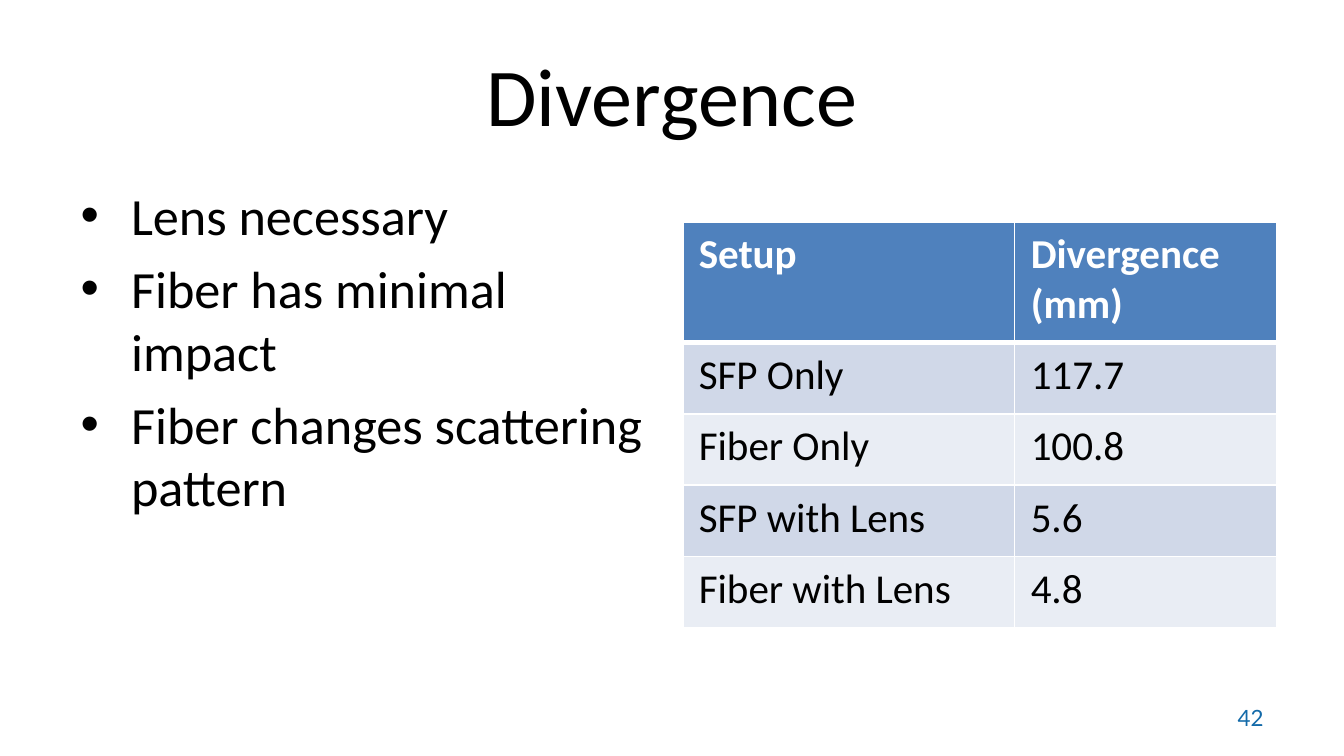
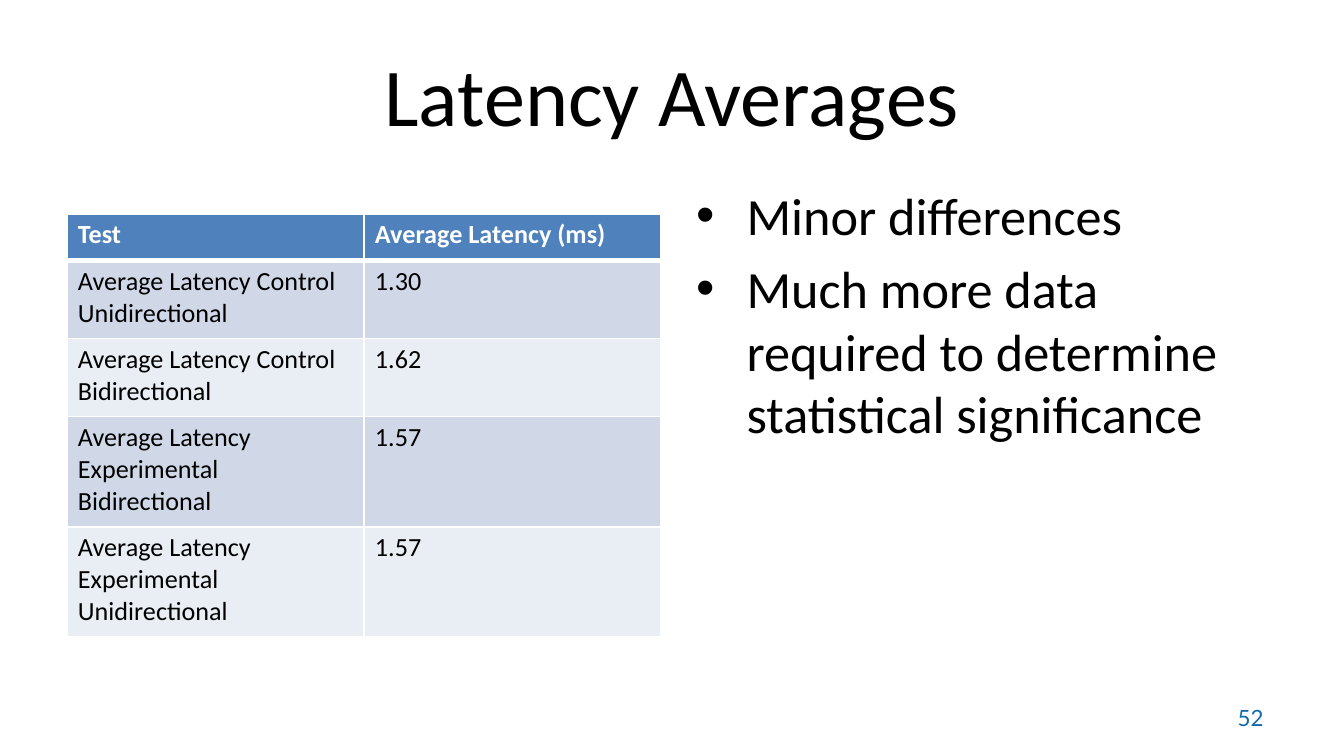
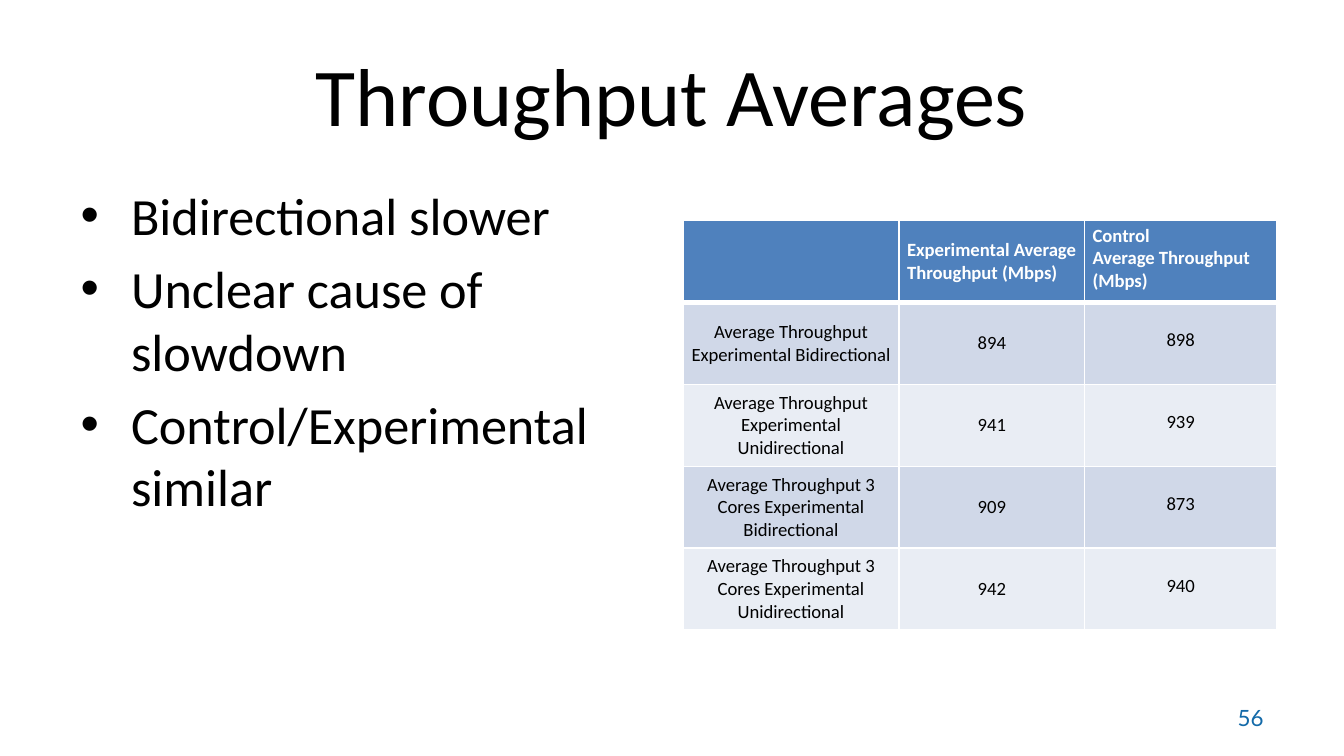
from dataclasses import dataclass

from lxml import etree
from pptx import Presentation
from pptx.dml.color import RGBColor
from pptx.enum import text as text_enum
from pptx.oxml import ns
from pptx.util import Inches, Pt

ALIGN = text_enum.PP_ALIGN
ANCHOR = text_enum.MSO_ANCHOR


@dataclass(frozen=True)
class Theme:
    font: str = "Calibri"
    number_font: str = "Lato"
    ink: str = "000000"
    white: str = "FFFFFF"
    header: str = "4F81BD"
    bands: tuple = ("D0D8E8", "E9EDF4")
    number_color: str = "136AA9"
    title_size: int = 44
    body_size: int = 28
    number_size: int = 12
    grid_line: int = 1
    header_line: int = 3


THEME = Theme()
SLIDE_WIDTH = Inches(10)
SLIDE_HEIGHT = SLIDE_WIDTH * 9 // 16
TITLE_BOX = (0.5, 0.23, 9, 0.94)
NUMBER_BOX = (7.17, 5.21, 2.33, 0.3)
LEFT, RIGHT = 0.5, 5.08
HALF_WIDTH, BODY_TOP, BODY_HEIGHT = 4.42, 1.31, 3.71
HARD_SPACE = chr(160)

SLIDES = [
    {
        "title": "Divergence",
        "number": "42",
        "bullets": ["Lens necessary", "Fiber has minimal impact",
                    "Fiber changes scattering pattern"],
        "bullets_left": LEFT,
        "table": {
            "left": RIGHT, "top": 1.65, "size": 22, "inset": (0.12, 0.06),
            "columns": [2.47, 1.95], "rows": [0.9] + [0.53] * 4,
            "cells": [
                ("Setup", "Divergence (mm)"),
                ("SFP Only", "117.7"),
                ("Fiber Only", "100.8"),
                ("SFP with Lens", "5.6"),
                ("Fiber with Lens", "4.8"),
            ],
        },
    },
    {
        "title": "Latency Averages",
        "number": "52",
        "bullets": ["Minor differences",
                    "Much more data required to determine statistical significance"],
        "bullets_left": RIGHT,
        "table": {
            "left": LEFT, "top": 1.59, "size": 14, "inset": (0.08, 0.04),
            "columns": [2.21] * 2, "rows": [0.35, 0.58, 0.58, 0.82, 0.82],
            "cells": [
                ("Test", "Average Latency (ms)"),
                ("Average Latency Control Unidirectional", "1.30"),
                ("Average Latency Control Bidirectional", "1.62"),
                ("Average Latency Experimental Bidirectional", "1.57"),
                ("Average Latency Experimental Unidirectional", "1.57"),
            ],
        },
    },
    {
        "title": "Throughput Averages",
        "number": "56",
        "bullets": ["Bidirectional slower", "Unclear cause of slowdown",
                    "Control/Experimental similar"],
        "bullets_left": LEFT,
        "table": {
            "left": RIGHT, "top": 1.64, "size": 10, "inset": (0.06, 0.03),
            "columns": [1.61, 1.38, 1.43], "rows": [0.61] * 5,
            "align": ALIGN.CENTER,
            "anchors": [ANCHOR.MIDDLE, ANCHOR.MIDDLE, ANCHOR.TOP],
            "last_column_drop": 0.17,
            "cells": [
                ("", "Experimental Average Throughput (Mbps)",
                 f"Control Average{HARD_SPACE}Throughput (Mbps)"),
                ("Average Throughput Experimental Bidirectional", "894", "898"),
                ("Average Throughput Experimental Unidirectional", "941", "939"),
                ("Average Throughput 3 Cores Experimental Bidirectional", "909", "873"),
                ("Average Throughput 3 Cores Experimental Unidirectional", "942", "940"),
            ],
        },
    },
]


def set_attributes(target, **values):
    for name, value in values.items():
        setattr(target, name, value)


def write(paragraph, words, size, color=THEME.ink, font=THEME.font, bold=False):
    run = paragraph.add_run()
    run.text = words
    set_attributes(run.font, name=font, size=Pt(size), bold=bold)
    run.font.color.rgb = RGBColor.from_string(color)


def place(shape, box):
    for name, value in zip(("left", "top", "width", "height"), box):
        setattr(shape, name, Inches(value))


def add_title(slide, words):
    title = slide.shapes.title
    place(title, TITLE_BOX)
    set_attributes(title.text_frame, vertical_anchor=ANCHOR.MIDDLE,
                   auto_size=text_enum.MSO_AUTO_SIZE.NONE)
    paragraph = title.text_frame.paragraphs[0]
    paragraph.alignment = ALIGN.CENTER
    write(paragraph, words, THEME.title_size)


def add_bullets(slide, bullets, left):
    """Fill the body placeholder; bullets and indents come from the template."""
    body = slide.placeholders[1]
    place(body, (left, BODY_TOP, HALF_WIDTH, BODY_HEIGHT))
    frame = body.text_frame
    frame.auto_size = text_enum.MSO_AUTO_SIZE.NONE
    for index, words in enumerate(bullets):
        paragraph = frame.add_paragraph() if index else frame.paragraphs[0]
        paragraph.space_before = Pt(THEME.body_size * 0.2 if index else 0)
        write(paragraph, words, THEME.body_size)


def add_number(slide, number):
    box = slide.shapes.add_textbox(*map(Inches, NUMBER_BOX))
    box.text_frame.word_wrap = True
    paragraph = box.text_frame.paragraphs[0]
    set_attributes(paragraph, alignment=ALIGN.RIGHT, line_spacing=0.9, space_after=Pt(6))
    write(paragraph, number, THEME.number_size, THEME.number_color, THEME.number_font)


def set_borders(cell, row):
    """Draw white grid lines, heavier between the header and the first row."""
    properties = cell._tc.get_or_add_tcPr()
    for position, side in enumerate("LRTB"):
        heavy = (row, side) in ((0, "B"), (1, "T"))
        width = THEME.header_line if heavy else THEME.grid_line
        line = etree.Element(ns.qn(f"a:ln{side}"), w=str(Pt(width)))
        fill = etree.SubElement(line, ns.qn("a:solidFill"))
        etree.SubElement(fill, ns.qn("a:srgbClr"), val=THEME.white)
        properties.insert(position, line)


def add_table(slide, data):
    columns, rows = data["columns"], data["rows"]
    box = (data["left"], data["top"], sum(columns), sum(rows))
    table = slide.shapes.add_table(len(rows), len(columns), *map(Inches, box)).table
    for column, width in zip(table.columns, columns):
        column.width = Inches(width)
    for row, height in zip(table.rows, rows):
        row.height = Inches(height)

    side, edge = data["inset"]
    anchors = data.get("anchors", [ANCHOR.TOP] * len(columns))
    for row, texts in enumerate(data["cells"]):
        header = row == 0
        fill = THEME.header if header else THEME.bands[(row - 1) % 2]
        for column, words in enumerate(texts):
            cell = table.cell(row, column)
            lowered = not header and column == len(columns) - 1
            drop = data.get("last_column_drop", 0) if lowered else 0
            set_attributes(cell, margin_left=Inches(side), margin_right=Inches(side),
                           margin_top=Inches(edge + drop), margin_bottom=Inches(edge),
                           vertical_anchor=anchors[column])
            cell.fill.solid()
            cell.fill.fore_color.rgb = RGBColor.from_string(fill)
            set_borders(cell, row)
            paragraph = cell.text_frame.paragraphs[0]
            paragraph.alignment = ALIGN.LEFT if header else data.get("align", ALIGN.LEFT)
            if words:
                write(paragraph, words, data["size"],
                      THEME.white if header else THEME.ink, bold=header)


def main():
    presentation = Presentation()
    set_attributes(presentation, slide_width=SLIDE_WIDTH, slide_height=SLIDE_HEIGHT)
    for content in SLIDES:
        slide = presentation.slides.add_slide(presentation.slide_layouts[1])
        add_title(slide, content["title"])
        add_bullets(slide, content["bullets"], content["bullets_left"])
        add_number(slide, content["number"])
        add_table(slide, content["table"])
    presentation.save("out.pptx")


if __name__ == "__main__":
    main()
